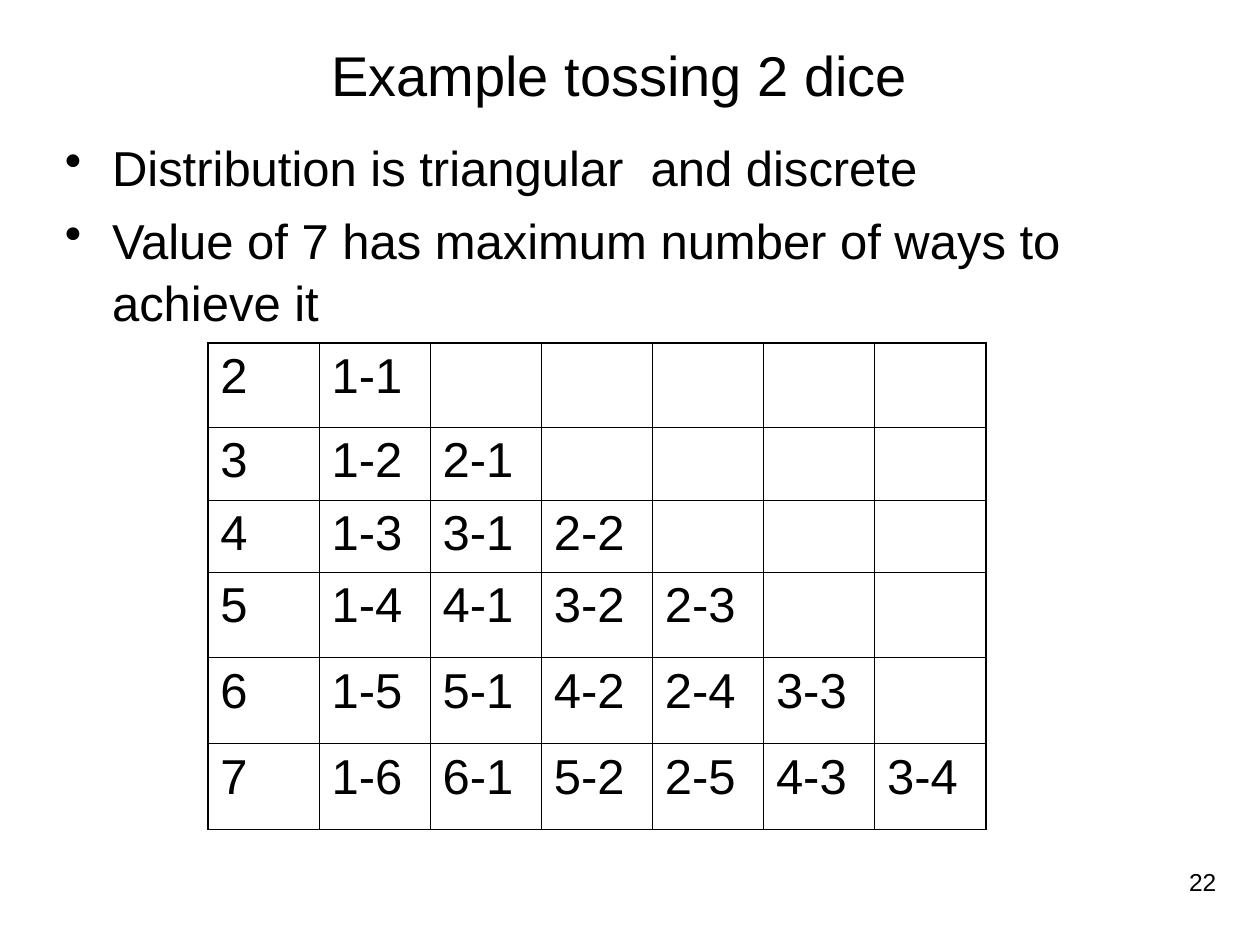
from lxml import etree
from pptx import Presentation
from pptx.dml.color import RGBColor
from pptx.enum.text import MSO_ANCHOR, PP_ALIGN
from pptx.oxml.ns import qn
from pptx.util import Cm, Pt

LEFT, CENTER, RIGHT = PP_ALIGN.LEFT, PP_ALIGN.CENTER, PP_ALIGN.RIGHT
TOP, MIDDLE = MSO_ANCHOR.TOP, MSO_ANCHOR.MIDDLE
BLACK = RGBColor(0, 0, 0)
FONT = "Arial"
THIN, THICK = Pt(0.45), Pt(1.08)

POINTS = [
    "Distribution is triangular  and discrete",
    "Value of 7 has maximum number of ways to achieve it",
]
TOSSES = [
    ["2", "1-1"],
    ["3", "1-2", "2-1"],
    ["4", "1-3", "3-1", "2-2"],
    ["5", "1-4", "4-1", "3-2", "2-3"],
    ["6", "1-5", "5-1", "4-2", "2-4", "3-3"],
    ["7", "1-6", "6-1", "5-2", "2-5", "4-3", "3-4"],
]
HEIGHTS = [1.7, 1.47, 1.45, 1.73, 1.73, 1.73]
COLS = 7


def add_bullet(para):
    """Give a paragraph a hanging bullet."""
    props = para._p.get_or_add_pPr()
    props.set("marL", str(Cm(0.95)))
    props.set("indent", str(-Cm(0.95)))
    etree.SubElement(props, qn("a:buChar")).set("char", "•")


def write(frame, lines, size=28, align=LEFT, anchor=TOP, bullet=False,
          space=None):
    """Fill a text frame with one paragraph for each line."""
    frame.word_wrap = True
    frame.vertical_anchor = anchor
    for i, line in enumerate(lines):
        para = frame.add_paragraph() if i else frame.paragraphs[0]
        if bullet:
            add_bullet(para)
        para.alignment = align
        if space:
            para.line_spacing = space
        if i:
            para.space_before = Pt(7)
        run = para.add_run()
        run.text = line
        run.font.name = FONT
        run.font.size = Pt(size)
        run.font.color.rgb = BLACK


def add_text(slide, lines, left, top, width, height, **style):
    box = slide.shapes.add_textbox(Cm(left), Cm(top), Cm(width), Cm(height))
    write(box.text_frame, lines, **style)


def set_border(cell, side, width):
    line = etree.SubElement(cell._tc.get_or_add_tcPr(), qn("a:ln" + side))
    line.set("w", str(width))
    fill = etree.SubElement(line, qn("a:solidFill"))
    etree.SubElement(fill, qn("a:srgbClr")).set("val", str(BLACK))


def add_grid(slide, left, top, width):
    """Draw the table of tosses with a heavier outer frame."""
    rows = len(TOSSES)
    table = slide.shapes.add_table(
        rows, COLS, Cm(left), Cm(top), Cm(width * COLS), Cm(sum(HEIGHTS))
    ).table
    table.first_row = table.horz_banding = False
    for col in table.columns:
        col.width = Cm(width)
    for r, height in enumerate(HEIGHTS):
        table.rows[r].height = Cm(height)
        for c in range(COLS):
            cell = table.cell(r, c)
            outer = {"L": c == 0, "R": c == COLS - 1,
                     "T": r == 0, "B": r == rows - 1}
            for side, edge in outer.items():
                set_border(cell, side, THICK if edge else THIN)
            cell.fill.background()
            if c < len(TOSSES[r]):
                write(cell.text_frame, [TOSSES[r][c]])


def main():
    deck = Presentation()
    deck.slide_width, deck.slide_height = Cm(25.4), Cm(19.05)
    slide = deck.slides.add_slide(deck.slide_layouts[6])

    # Title and bullet points
    add_text(slide, ["Example tossing 2 dice"], 3.18, 0.43, 18.62, 2.11,
             size=32, align=CENTER, anchor=MIDDLE)
    add_text(slide, POINTS, 1.06, 2.6, 21.16, 5.92, bullet=True, space=1.04)

    # Ways to toss each value
    add_grid(slide, 4.19, 6.91, 2.24)

    # Slide number
    add_text(slide, ["22"], 18.85, 17.35, 5.92, 1.32, size=14, align=RIGHT)

    deck.save("out.pptx")


if __name__ == "__main__":
    main()
